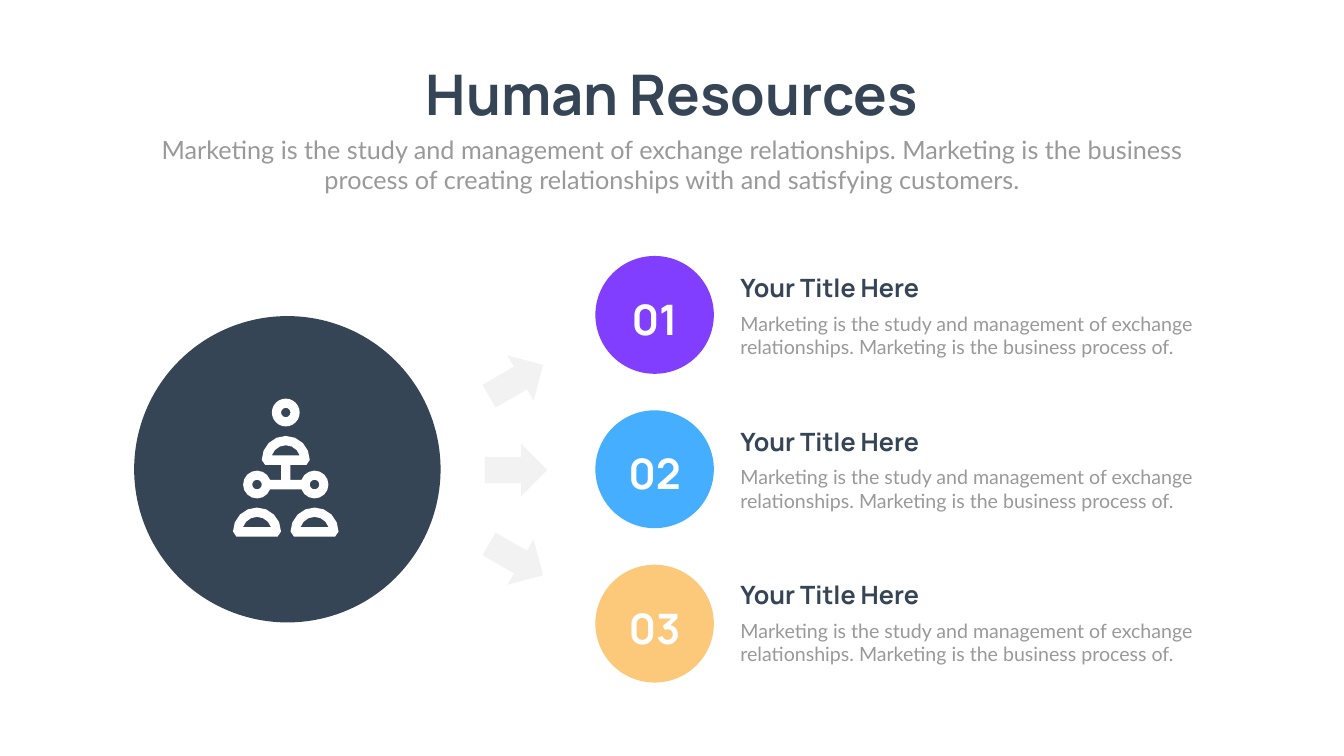
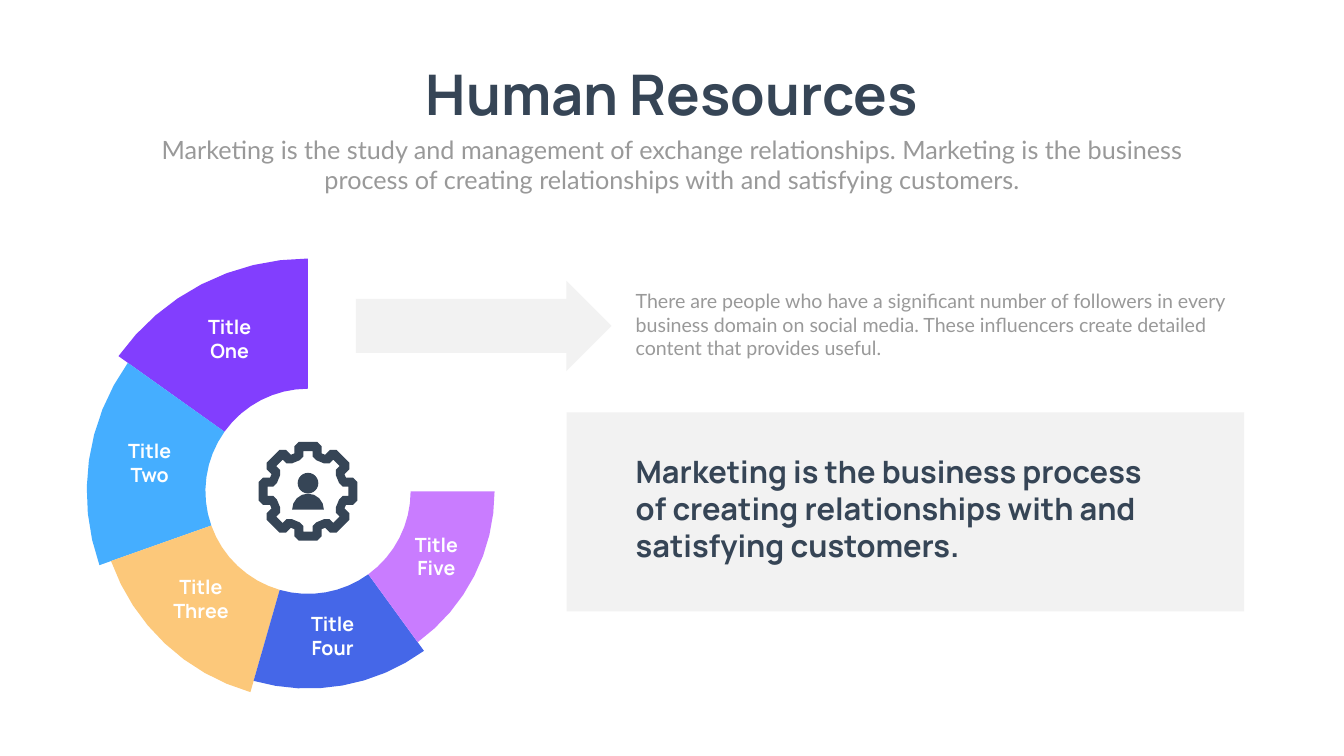
"""Builds two Human Resources slides: a numbered list and a stepped wheel."""
import math
from pptx import Presentation, util as u
from pptx.dml.color import RGBColor
from pptx.enum import shapes, text

INK = {"navy": "364556", "grey": "999999", "pale": "F2F2F2", "white": "FFFFFF",
       "violet": "823EFE", "sky": "45AEFF", "sand": "FCC87A",
       "blue": "4567E8", "pink": "C97CFF"}
HEAD, BODY = "Manrope", "Lato"
KIND = shapes.MSO_SHAPE

TITLE = "Human Resources"
LEAD = ("Marketing is the study and management of exchange relationships. "
        "Marketing is the business process of creating relationships with "
        "and satisfying customers.")
NOTE = ("Marketing is the study and management of exchange relationships. "
        "Marketing is the business process of.")
ITEMS = [("01", "Your Title Here", NOTE, "violet"),
         ("02", "Your Title Here", NOTE, "sky"),
         ("03", "Your Title Here", NOTE, "sand")]
TURNS = [-30, 0, 30]

WHEEL = (15.52, 24.76)
HOLE = 5.17
START = 90
PARTS = [("Title One", "violet", 11.73, 144.5, (9.55, 15.77, 4.04)),
         ("Title Two", "sky", 11.15, 199.5, (6.12, 22.02, 2.84)),
         ("Title Three", "sand", 10.53, 254, (7.75, 28.85, 4.75)),
         ("Title Four", "blue", 9.94, 306, (15.34, 30.73, 2.84)),
         ("Title Five", "pink", 9.4, 360, (20.57, 26.72, 2.84))]
STORY = ("There are people who have a significant number of followers in every "
         "business domain on social media. These influencers create detailed "
         "content that provides useful.")
QUOTE = ("Marketing is the business process of creating relationships with "
         "and satisfying customers.")

TOOTH = [(1.91, 0.69), (2.26, 0.69), (2.49, 0.46)]
NOTCH = [(1.57, 0.41), (1.75, 0.23), (2.03, 0.23)]


def hue(name):
    return RGBColor.from_string(INK[name])


def paint(shape, name):
    shape.fill.solid()
    shape.fill.fore_color.rgb = hue(name)
    shape.line.fill.background()
    shape.shadow.inherit = False
    return shape


def form(slide, kind, box, name):
    return paint(slide.shapes.add_shape(kind, *map(u.Cm, box)), name)


def disc(slide, x, y, r, name, kind=KIND.OVAL):
    return form(slide, kind, (x - r, y - r, 2 * r, 2 * r), name)


def trace(slide, loops, name):
    loops = [[(u.Cm(x), u.Cm(y)) for x, y in loop] for loop in loops]
    pen = slide.shapes.build_freeform(*loops[0][0], scale=1.0)
    for i, loop in enumerate(loops):
        if i:
            pen.move_to(*loop[0])
        pen.add_line_segments(loop[1:], close=True)
    return paint(pen.convert_to_shape(), name)


def write(slide, words, box, size, name, font=HEAD, mid=False, wrap=True):
    frame = slide.shapes.add_textbox(*map(u.Cm, box)).text_frame
    frame.word_wrap = wrap
    frame.auto_size = text.MSO_AUTO_SIZE.SHAPE_TO_FIT_TEXT
    para = frame.paragraphs[0]
    para.text = words
    para.alignment = text.PP_ALIGN.CENTER if mid else text.PP_ALIGN.LEFT
    para.font.name, para.font.size = font, u.Pt(size)
    para.font.bold = font == HEAD
    para.font.color.rgb = hue(name)


def arc(x, y, r, start, end):
    step = 7 if r > 2 else 24
    count = math.ceil(abs(end - start) / step)
    turns = [math.radians(start + (end - start) * i / count) for i in range(count + 1)]
    return [(x + r * math.cos(t), y - r * math.sin(t)) for t in turns]


def dome(x, y):
    left, right = (x - 1.04, y + 0.25), (x + 1.04, y + 0.25)
    return [right] + arc(x, y, 1.21, 0, 180) + [left], arc(x, y, 0.74, 18, 162)


def team(slide, x):
    gap, row, low = 1.45, 24.42, 26.79
    for side in (-gap, gap):
        trace(slide, dome(x + side, low), "white")
    top, gash = dome(x, 23.18)
    half, foot = 0.23, 23.43
    rim = (arc(x + gap, row, 0.7, -160, 160)
           + [(x + half, row - 0.24), (x + half, foot)] + top
           + [(x - half, foot), (x - half, row - 0.24)]
           + arc(x - gap, row, 0.7, 20, 340))
    eyes = [arc(x + side, row, 0.24, 0, 360) for side in (-gap, gap)]
    trace(slide, [rim, gash] + eyes, "white")
    disc(slide, x, 20.79, 0.7, "white", KIND.DONUT).adjustments[0] = 0.33


def cog(x, y, half):
    tooth = [(r, -t) for r, t in half] + [(r, t) for r, t in reversed(half)]
    loop = []
    for i in range(8):
        c, s = math.cos(i * math.pi / 4), math.sin(i * math.pi / 4)
        loop += [(x + r * c - t * s, y + r * s + t * c) for r, t in tooth]
    return loop


def start(deck):
    slide = deck.slides.add_slide(deck.slide_layouts[6])
    write(slide, TITLE, (20.24, 2.9, 27.23, 3.68), 80, "navy", mid=True, wrap=False)
    write(slide, LEAD, (7.42, 6.63, 52.88, 3.33), 36, "grey", BODY, mid=True)
    return slide


def steps(deck):
    slide = start(deck)
    disc(slide, 14.48, 23.65, 7.72, "navy")
    team(slide, 14.4)
    for i, (turn, (num, head, note, name)) in enumerate(zip(TURNS, ITEMS)):
        arrow = form(slide, KIND.RIGHT_ARROW, (24.43, 17.86 + 4.51 * i, 3.15, 2.64), "pale")
        arrow.rotation = turn
        y = 12.9 + 7.78 * i
        form(slide, KIND.OVAL, (30, y, 5.97, 5.94), name)
        write(slide, num, (31.37, y + 1.77, 3.23, 2.82), 60, "white", mid=True)
        y = 13.61 + 7.73 * i
        write(slide, head, (37.06, y, 23.5, 1.8), 36, "navy")
        write(slide, note, (37.06, y + 1.98, 23.5, 2.64), 28, "grey", BODY)


def wheel(deck):
    slide = start(deck)
    x, y = WHEEL
    turn = START
    for label, name, r, end, (left, top, wide) in PARTS:
        trace(slide, [arc(x, y, r, turn, end) + arc(x, y, HOLE, end, turn)], name)
        write(slide, label, (left, top, wide, 2.64), 28, "white", mid=True)
        turn = end
    trace(slide, [cog(x, y, TOOTH), cog(x, y, NOTCH)], "navy")
    disc(slide, x, 24.35, 0.52, "navy")
    trace(slide, [arc(x, 25.68, 0.8, 0, 180)], "navy")
    arrow = form(slide, KIND.RIGHT_ARROW, (17.93, 14.15, 12.88, 4.55), "pale")
    arrow.adjustments[0] = 0.6
    write(slide, STORY, (31.78, 14.45, 31.83, 3.84), 28, "grey", BODY)
    form(slide, KIND.RECTANGLE, (28.55, 20.78, 34.14, 10.03), "pale")
    write(slide, QUOTE, (31.78, 22.71, 27.66, 5.89), 44, "navy")


def main():
    deck = Presentation()
    deck.slide_width, deck.slide_height = u.Cm(67.72), u.Cm(38.1)
    steps(deck)
    wheel(deck)
    deck.save("out.pptx")


if __name__ == "__main__":
    main()
